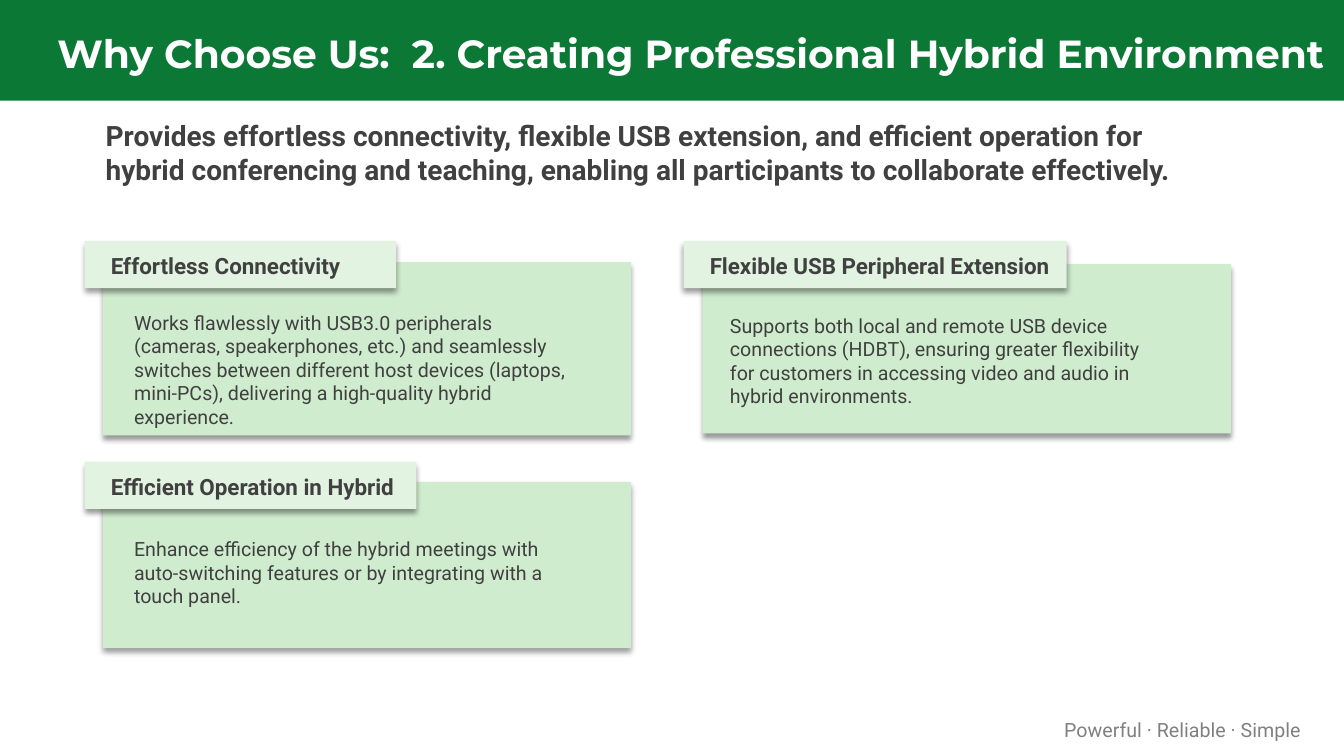
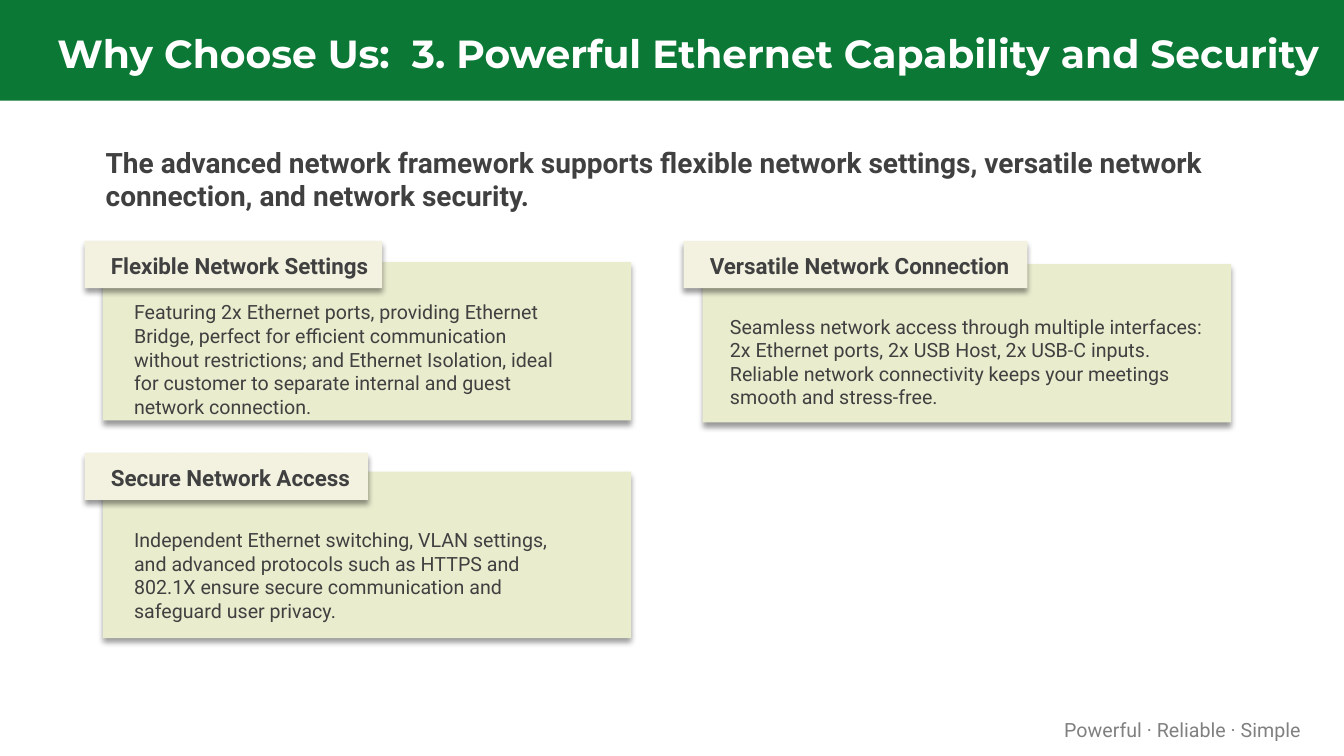
"""Build two "Why Choose Us" slides with a title band and labelled cards."""
import pptx
import pptx.util
import pptx.dml.color
import pptx.enum.shapes
import pptx.enum.text
import lxml.etree

Inches = pptx.util.Inches
Pt = pptx.util.Pt
ALIGN = pptx.enum.text.PP_ALIGN
ANCHOR = pptx.enum.text.MSO_ANCHOR

COLORS = {
    "band": "0B7935", "title": "FFFFFF", "text": "404040", "footer": "808080",
    "green panel": "D0ECCE", "green tag": "E2F3E1",
    "olive panel": "EAECCE", "olive tag": "F3F2E1",
}
DRAWING = "http://schemas.openxmlformats.org/drawingml/2006/main"
SLIDE_WIDTH, SLIDE_HEIGHT = 13.33, 7.5
PANEL_WIDTH, TAG_HEIGHT = 5.24, 0.47
COLUMNS = {
    "left": {"tag": 0.84, "panel": 1.02, "inset": 0.31},
    "right": {"tag": 6.78, "panel": 6.97, "inset": 0.27},
}

SLIDES = [
    {
        "title": "Why Choose Us:  2. Creating Professional Hybrid Environment",
        "lead": "Provides effortless connectivity, flexible USB extension, and efficient operation for hybrid "
                "conferencing and teaching, enabling all participants to collaborate effectively.",
        "lead top": 1.13,
        "theme": "green",
        "cards": [
            {"column": "left", "tag top": 2.39, "tag width": 3.09, "panel top": 2.6, "panel height": 1.72,
             "text top": 3.08, "text width": 4.4, "heading": "Effortless Connectivity",
             "body": "Works flawlessly with USB3.0 peripherals (cameras, speakerphones, etc.) and seamlessly "
                     "switches between different host devices (laptops, mini-PCs), delivering a high-quality "
                     "hybrid experience."},
            {"column": "right", "tag top": 2.39, "tag width": 3.8, "panel top": 2.62, "panel height": 1.68,
             "text top": 3.11, "text width": 4.3, "heading": "Flexible USB Peripheral Extension",
             "body": "Supports both local and remote USB device connections (HDBT), ensuring greater flexibility "
                     "for customers in accessing video and audio in hybrid environments."},
            {"column": "left", "tag top": 4.58, "tag width": 3.29, "panel top": 4.78, "panel height": 1.65,
             "text top": 5.33, "text width": 4.4, "heading": "Efficient Operation in Hybrid",
             "body": "Enhance efficiency of the hybrid meetings with auto-switching features or by integrating "
                     "with a touch panel."},
        ],
    },
    {
        "title": "Why Choose Us:  3. Powerful Ethernet Capability and Security",
        "lead": "The advanced network framework supports flexible network settings, versatile network connection, "
                "and network security.",
        "lead top": 1.39,
        "theme": "olive",
        "cards": [
            {"column": "left", "tag top": 2.39, "tag width": 2.95, "panel top": 2.6, "panel height": 1.57,
             "text top": 2.98, "text width": 4.16, "heading": "Flexible Network Settings",
             "body": "Featuring 2x Ethernet ports, providing Ethernet Bridge, perfect for efficient communication "
                     "without restrictions; and Ethernet Isolation, ideal for customer to separate internal and "
                     "guest network connection."},
            {"column": "right", "tag top": 2.39, "tag width": 3.41, "panel top": 2.62, "panel height": 1.57,
             "text top": 3.12, "text width": 4.76, "heading": "Versatile Network Connection",
             "body": "Seamless network access through multiple interfaces: 2x Ethernet ports, 2x USB Host, 2x USB-C "
                     "inputs. Reliable network connectivity keeps your meetings smooth and stress-free."},
            {"column": "left", "tag top": 4.49, "tag width": 2.81, "panel top": 4.68, "panel height": 1.65,
             "text top": 5.24, "text width": 4.16, "heading": "Secure Network Access",
             "body": "Independent Ethernet switching, VLAN settings, and advanced protocols such as HTTPS and 802.1X "
                     "ensure secure communication and safeguard user privacy."},
        ],
    },
]


def add_rectangle(slide, left, top, width, height, color, shadow=True):
    shape = slide.shapes.add_shape(
        pptx.enum.shapes.MSO_SHAPE.RECTANGLE, Inches(left), Inches(top), Inches(width), Inches(height))
    shape.fill.solid()
    shape.fill.fore_color.rgb = pptx.dml.color.RGBColor.from_string(COLORS[color])
    shape.line.fill.background()
    shape.shadow.inherit = False
    if shadow:
        effects = shape._element.spPr.find(f"{{{DRAWING}}}effectLst")
        outer = lxml.etree.SubElement(
            effects, f"{{{DRAWING}}}outerShdw", blurRad=str(Pt(4)), dist=str(Pt(3)),
            dir="5400000", algn="t", rotWithShape="0")
        black = lxml.etree.SubElement(outer, f"{{{DRAWING}}}srgbClr", val="000000")
        lxml.etree.SubElement(black, f"{{{DRAWING}}}alpha", val="40000")
    return shape


def write_text(shape, text, size, color="text", bold=False, font="Roboto", align=ALIGN.LEFT,
               anchor=ANCHOR.TOP, insets=(0.1, 0.05, 0.1, 0.05), wrap=True):
    frame = shape.text_frame
    frame.text = text
    frame.word_wrap = wrap
    frame.vertical_anchor = anchor
    frame.margin_left, frame.margin_top, frame.margin_right, frame.margin_bottom = map(Inches, insets)
    paragraph = frame.paragraphs[0]
    paragraph.alignment = align
    for run in paragraph.runs:
        run.font.name = font
        run.font.size = Pt(size)
        run.font.bold = bold
        run.font.color.rgb = pptx.dml.color.RGBColor.from_string(COLORS[color])
    return paragraph


presentation = pptx.Presentation()
presentation.slide_width = Inches(SLIDE_WIDTH)
presentation.slide_height = Inches(SLIDE_HEIGHT)

for content in SLIDES:
    slide = presentation.slides.add_slide(presentation.slide_layouts[6])
    add_rectangle(slide, 0, 0, SLIDE_WIDTH, 1, "band", shadow=False)

    title = slide.shapes.add_textbox(Inches(0.5), Inches(0.19), Inches(12.83), Inches(0.67))
    write_text(title, content["title"], 28, "title", bold=True, font="Montserrat",
               anchor=ANCHOR.MIDDLE, insets=(0.07, 0.03, 0.07, 0.03))

    lead = slide.shapes.add_textbox(Inches(0.95), Inches(content["lead top"]), Inches(11.14), Inches(0.78))
    write_text(lead, content["lead"], 20, bold=True)

    for card in content["cards"]:
        column = COLUMNS[card["column"]]
        panel = add_rectangle(slide, column["panel"], card["panel top"], PANEL_WIDTH, card["panel height"],
                              content["theme"] + " panel")
        right_inset = PANEL_WIDTH - column["inset"] - card["text width"]
        write_text(panel, card["body"], 14,
                   insets=(column["inset"], card["text top"] - card["panel top"], right_inset, 0))

        tag = add_rectangle(slide, column["tag"], card["tag top"], card["tag width"], TAG_HEIGHT,
                            content["theme"] + " tag")
        heading = write_text(tag, card["heading"], 16, bold=True, insets=(0.26, 0.09, 0, 0), wrap=False)
        heading.line_spacing = Pt(21)

    footer = slide.shapes.add_textbox(Inches(10.12), Inches(7.07), Inches(2.88), Inches(0.34))
    write_text(footer, "Powerful · Reliable · Simple", 14, "footer", align=ALIGN.RIGHT)

presentation.save("out.pptx")
